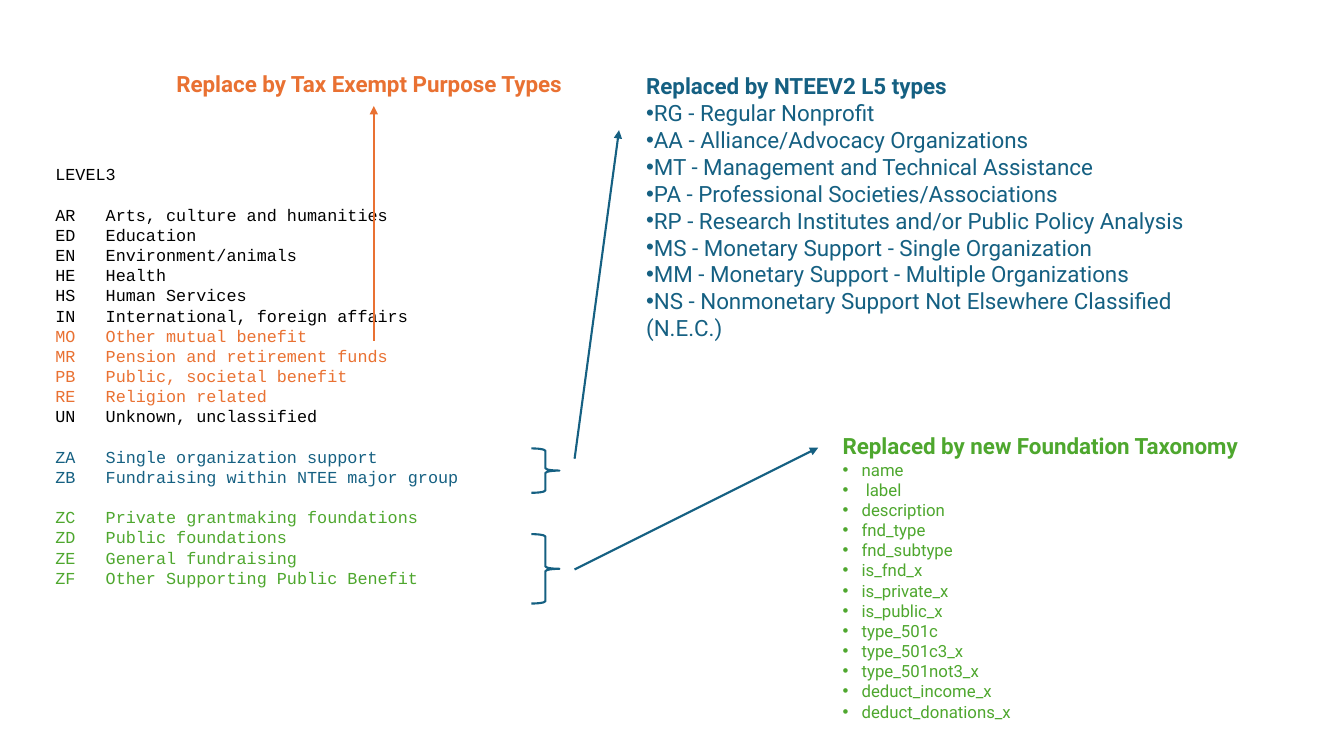
from dataclasses import dataclass

from lxml.etree import SubElement
from pptx import Presentation
from pptx.dml.color import RGBColor
from pptx.enum.shapes import MSO_CONNECTOR as Connector, MSO_SHAPE as Shape
from pptx.enum.text import MSO_ANCHOR as Anchor, MSO_AUTO_SIZE as AutoSize, PP_ALIGN as Align
from pptx.oxml.ns import qn
from pptx.util import Cm, Pt


@dataclass(frozen=True)
class Theme:
    black: RGBColor = RGBColor.from_string("000000")
    orange: RGBColor = RGBColor.from_string("E97132")
    blue: RGBColor = RGBColor.from_string("156082")
    green: RGBColor = RGBColor.from_string("4EA72E")
    heading_size: int = 16
    list_size: int = 12
    line_width: float = 1.5
    leading: float = 1.2
    font: str = "Roboto"
    code_font: str = "Courier New"


theme = Theme()


def format_paragraph(paragraph, color, size, bold=False, font=theme.font, bullet=False, indent=0):
    paragraph.alignment = Align.LEFT
    paragraph.line_spacing = Pt(size * theme.leading)
    paragraph.space_before = paragraph.space_after = Pt(0)
    properties = paragraph._p.get_or_add_pPr()
    properties.set("marL", str(Cm(indent)))
    properties.set("indent", str(-Cm(indent)))
    if bullet:
        SubElement(properties, qn("a:buFont"), typeface="Arial")
        SubElement(properties, qn("a:buChar"), char="•")
    else:
        SubElement(properties, qn("a:buNone"))
    for run in paragraph.runs:
        run.font.name = font
        run.font.size = Pt(size)
        run.font.bold = bold
        run.font.color.rgb = color


def draw_arrow(slide, start, end, color):
    arrow = slide.shapes.add_connector(Connector.STRAIGHT, *map(Cm, start + end))
    arrow.line.color.rgb = color
    arrow.line.width = Pt(theme.line_width)
    SubElement(arrow.line._get_or_add_ln(), qn("a:tailEnd"), type="triangle")
    SubElement(arrow._element.spPr, qn("a:effectLst"))


presentation = Presentation()
presentation.slide_width, presentation.slide_height = Cm(33.87), Cm(19.05)
slide = presentation.slides.add_slide(presentation.slide_layouts.get_by_name("Comparison"))
title = slide.shapes.title
level_list, type_list, unused, foundation_list = list(slide.placeholders)[1:5]
unused._element.getparent().remove(unused._element)

boxes = [
    (title, 4.19, 1.65, 10.6, 0.94),
    (level_list, 1.14, 4.01, 16.94, 11.02),
    (type_list, 16.03, 1.7, 14.63, 6.9),
    (foundation_list, 20.98, 10.77, 10.67, 8.28),
]
for placeholder, left, top, width, height in boxes:
    placeholder.left, placeholder.top = Cm(left), Cm(top)
    placeholder.width, placeholder.height = Cm(width), Cm(height)
    text_frame = placeholder.text_frame
    text_frame.word_wrap = True
    text_frame.auto_size = AutoSize.NONE
    text_frame.vertical_anchor = Anchor.TOP

title.text_frame.text = "Replace by Tax Exempt Purpose Types"
format_paragraph(title.text_frame.paragraphs[0], theme.orange, theme.heading_size, bold=True)

levels = [
    ("LEVEL3", theme.black),
    ("AR\tArts, culture and humanities", theme.black),
    ("ED\tEducation", theme.black),
    ("EN\tEnvironment/animals", theme.black),
    ("HE\tHealth", theme.black),
    ("HS\tHuman Services", theme.black),
    ("IN\tInternational, foreign affairs", theme.black),
    ("MO\tOther mutual benefit", theme.orange),
    ("MR\tPension and retirement funds", theme.orange),
    ("PB\tPublic, societal benefit", theme.orange),
    ("RE\tReligion related", theme.orange),
    ("UN\tUnknown, unclassified", theme.black),
    ("ZA\tSingle organization support", theme.blue),
    ("ZB\tFundraising within NTEE major group", theme.blue),
    ("ZC\tPrivate grantmaking foundations", theme.green),
    ("ZD\tPublic foundations", theme.green),
    ("ZE\tGeneral fundraising", theme.green),
    ("ZF\tOther Supporting Public Benefit", theme.green),
]
group_starts = ("AR", "ZA", "ZC")
level_list.text_frame.text = "\n".join(text for text, color in levels)
for paragraph, (text, color) in zip(level_list.text_frame.paragraphs, levels):
    format_paragraph(paragraph, color, theme.list_size, font=theme.code_font)
    if text.startswith(group_starts):
        paragraph.space_before = Pt(theme.list_size * theme.leading)
    tabs = SubElement(paragraph._p.get_or_add_pPr(), qn("a:tabLst"))
    SubElement(tabs, qn("a:tab"), pos=str(Cm(2.54)), algn="l")

organization_types = [
    "Replaced by NTEEV2 L5 types",
    "RG - Regular Nonprofit",
    "AA - Alliance/Advocacy Organizations",
    "MT - Management and Technical Assistance",
    "PA - Professional Societies/Associations",
    "RP - Research Institutes and/or Public Policy Analysis",
    "MS - Monetary Support - Single Organization",
    "MM - Monetary Support - Multiple Organizations",
    "NS - Nonmonetary Support Not Elsewhere Classified (N.E.C.)",
]
foundation_fields = [
    "Replaced by new Foundation Taxonomy",
    "name",
    " label",
    "description",
    "fnd_type",
    "fnd_subtype",
    "is_fnd_x",
    "is_private_x",
    "is_public_x",
    "type_501c",
    "type_501c3_x",
    "type_501not3_x",
    "deduct_income_x",
    "deduct_donations_x",
]
replacements = [
    (type_list, organization_types, theme.blue, theme.heading_size, 0),
    (foundation_list, foundation_fields, theme.green, theme.list_size, 0.48),
]
for placeholder, lines, color, size, indent in replacements:
    placeholder.text_frame.text = "\n".join(lines)
    heading, *items = placeholder.text_frame.paragraphs
    format_paragraph(heading, color, theme.heading_size, bold=True)
    for item in items:
        format_paragraph(item, color, size, bullet=True, indent=indent)

for top, height in [(11.3, 1.12), (13.46, 1.75)]:
    brace = slide.shapes.add_shape(Shape.RIGHT_BRACE, Cm(13.39), Cm(top), Cm(0.71), Cm(height))
    brace.shadow.inherit = False
    brace.fill.background()
    brace.line.color.rgb = theme.blue
    brace.line.width = Pt(theme.line_width)

draw_arrow(slide, (14.48, 11.56), (15.6, 3.28), theme.blue)
draw_arrow(slide, (14.48, 14.35), (20.62, 11.28), theme.blue)
draw_arrow(slide, (9.42, 8.59), (9.42, 2.67), theme.orange)

presentation.save("out.pptx")
